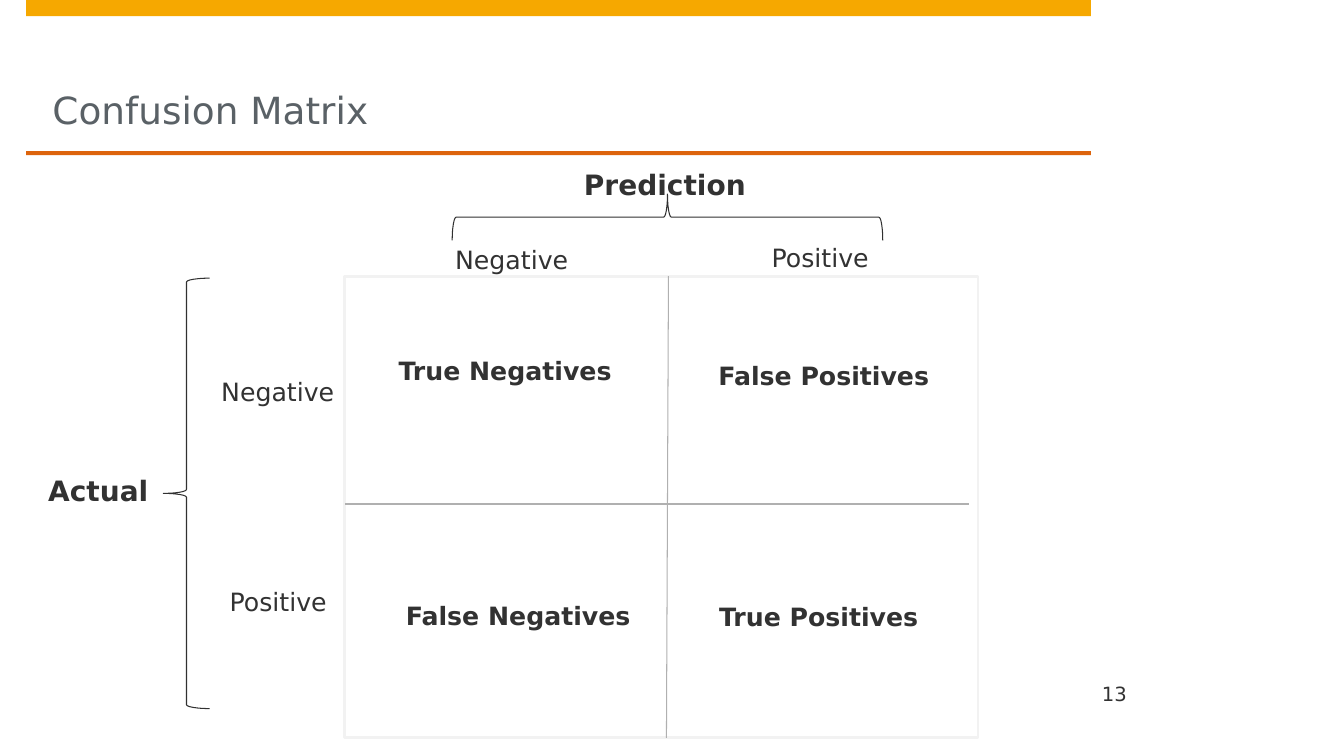
"""Build the confusion matrix slide."""
from pptx import Presentation, util as u
from pptx.dml.color import RGBColor
from pptx.enum import shapes, text
from pptx.oxml.ns import qn
from lxml import etree

PX = 9144
INK = "323232"
BRACE = shapes.MSO_SHAPE.LEFT_BRACE
RECTANGLE = shapes.MSO_SHAPE.RECTANGLE
TOP, MIDDLE, BOTTOM = text.MSO_ANCHOR.TOP, text.MSO_ANCHOR.MIDDLE, text.MSO_ANCHOR.BOTTOM
LEFT, CENTER = text.PP_ALIGN.LEFT, text.PP_ALIGN.CENTER


def color(value):
    return RGBColor.from_string(value)


def add_text(words, box, size, bold=False, anchor=TOP, align=CENTER,
             insets=(10, 5, 10, 5), ink=INK):
    shape = slide.shapes.add_textbox(*[n * PX for n in box])
    frame = shape.text_frame
    frame.word_wrap = True
    frame.vertical_anchor = anchor
    frame.margin_left, frame.margin_top, frame.margin_right, frame.margin_bottom = [
        n * PX for n in insets]
    paragraph = frame.paragraphs[0]
    paragraph.alignment = align
    run = paragraph.add_run()
    run.text = words
    run.font.name = "DejaVu Sans"
    run.font.size = u.Pt(size)
    run.font.bold = bold
    run.font.color.rgb = color(ink)


presentation = Presentation()
presentation.slide_width = 1333 * PX
presentation.slide_height = 750 * PX
slide = presentation.slides.add_slide(presentation.slide_layouts[6])

outlines = [
    (RECTANGLE, (26, 0, 1056, 16), "F6A800", None, 0, 0),
    (RECTANGLE, (26, 150, 1056, 4), "DD640C", None, 0, 0),
    (RECTANGLE, (342, 274, 628, 458), "FFFFFF", "F2F2F2", 2, 0),
    (BRACE, (162, 276, 46, 427), None, "313131", 0.75, 0),
    (BRACE, (639, 2, 46, 427), None, "313131", 0.75, 90),
]
for kind, box, fill, line, width, rotation in outlines:
    shape = slide.shapes.add_shape(kind, *[n * PX for n in box])
    shape.shadow.inherit = False
    shape.rotation = rotation
    if fill:
        shape.fill.solid()
        shape.fill.fore_color.rgb = color(fill)
    else:
        shape.fill.background()
    if line:
        shape.line.color.rgb = color(line)
        shape.line.width = u.Pt(width)
    else:
        shape.line.fill.background()

dividers = [(663, 274, 661, 732), (961, 500, 342, 500)]
for ends in dividers:
    divider = slide.shapes.add_connector(
        shapes.MSO_CONNECTOR.STRAIGHT, *[n * PX for n in ends])
    divider.line.color.rgb = color("B0B0B0")
    divider.line.width = u.Pt(0.75)
    etree.SubElement(divider._element.spPr, qn("a:effectLst"))

add_text("Confusion Matrix", (52, 16, 1003, 135), 26.7, anchor=BOTTOM,
         align=LEFT, insets=(0, 0, 0, 20), ink="5A6166")

axis_titles = [("Prediction", (530, 161, 259, 44)), ("Actual", (7, 465, 181, 44))]
for words, box in axis_titles:
    add_text(words, box, 20, bold=True)

class_labels = [
    ("Negative", (342, 237, 331, 40)),
    ("Positive", (665, 236, 297, 40)),
    ("Negative", (113, 368, 325, 40)),
    ("Positive", (149, 577, 254, 40)),
]
for words, box in class_labels:
    add_text(words, box, 18)

outcomes = [
    ("True Negatives", (363, 283, 276, 170)),
    ("False Positives", (690, 287, 254, 170)),
    ("False Negatives", (387, 526, 254, 170)),
    ("True Positives", (663, 500, 298, 223)),
]
for words, box in outcomes:
    add_text(words, box, 18, bold=True, anchor=MIDDLE)

add_text("13", (1081, 674, 226, 26), 14, anchor=BOTTOM, align=LEFT,
         insets=(12, 0, 0, 0))

presentation.save("out.pptx")
